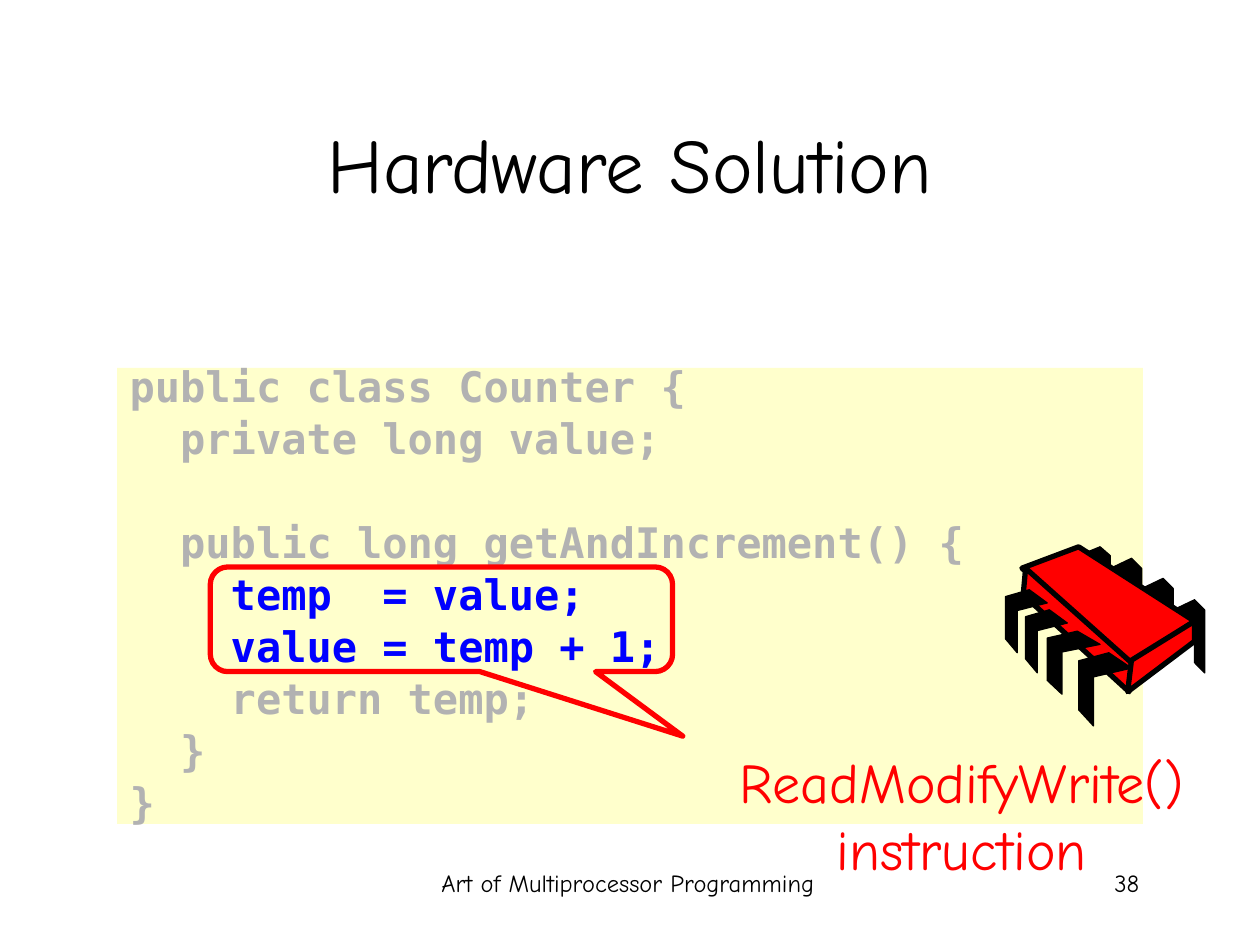
from dataclasses import dataclass

from lxml.etree import SubElement
from pptx import Presentation
from pptx.dml.color import RGBColor as RGB
from pptx.enum.shapes import MSO_SHAPE as SHAPE
from pptx.enum.text import MSO_ANCHOR as ANCHOR, PP_ALIGN as ALIGN
from pptx.oxml.ns import qn
from pptx.util import Pt


@dataclass(frozen=True)
class Theme:
    black: RGB = RGB(0, 0, 0)
    red: RGB = RGB(0xFF, 0, 0)
    blue: RGB = RGB(0, 0, 0xFF)
    gray: RGB = RGB(0xB2, 0xB2, 0xB2)
    cream: RGB = RGB(0xFF, 0xFF, 0xCC)
    text_font: str = "Comic Neue"
    code_font: str = "DejaVu Sans Mono"
    title: int = 44
    label: int = 32
    code: int = 24
    footer: int = 14


T = Theme()

CODE = """public class Counter {
  private long value;

  public long getAndIncrement() {
    temp  = value;
    value = temp + 1;
    return temp;
  }
}"""
HIGHLIGHTED = (4, 5)

# Pin outlines as fractions of the pin's box
BACK_PIN = [(0, .14), (.68, 0), (1, .14), (1, 1), (.68, .86), (.68, .28), (0, .43)]
FRONT_PIN = [(.57, 0), (1, .21), (.28, .33), (.28, 1), (0, .78), (0, .11)]

# Pin boxes, in points from the chip's corner
BACK_PINS = [(95.8, 30.2, 18, 41.8), (77.8, 18, 18, 41.8),
             (59.8, 6.5, 18, 41.8), (41.8, 0, 18, 36)]
FRONT_PINS = [(41.8, 60.5, 30.2, 41.8), (23.8, 48.2, 30.2, 36),
              (11.5, 36, 23.8, 36), (0, 24.5, 23.8, 36)]

# Top, front and side of the chip's body
BODY_FACES = [
    [(41.8, 0), (108, 42.5), (70.6, 67), (9.4, 12.2)],
    [(11.5, 12.2), (72, 66.2), (70.6, 82.8), (10.1, 27.4)],
    [(108, 42.5), (108, 54), (69.8, 82.8), (72, 64.8)],
]


def style(p, font, size, color, bold=False):
    for r in p.runs:
        r.font.name, r.font.size, r.font.bold = font, Pt(size), bold
        r.font.color.rgb = color


def add_text(s, box, text, size, color, align=ALIGN.CENTER, anchor=ANCHOR.TOP):
    tf = s.shapes.add_textbox(*map(Pt, box)).text_frame
    tf.word_wrap = True
    tf.vertical_anchor = anchor
    tf.text = text
    for p in tf.paragraphs:
        p.alignment = align
        style(p, T.text_font, size, color)


def add_code(s, box):
    sp = s.shapes.add_shape(SHAPE.RECTANGLE, *map(Pt, box))
    sp.shadow.inherit = False
    sp.fill.solid()
    sp.fill.fore_color.rgb = T.cream
    sp.line.fill.background()
    tf = sp.text_frame
    tf.word_wrap = True
    tf.vertical_anchor = ANCHOR.TOP
    tf.text = CODE
    for i, p in enumerate(tf.paragraphs):
        p.alignment = ALIGN.LEFT
        p.line_spacing = 0.7
        p.space_before = Pt(9.6 if i else 0)
        style(p, T.code_font, T.code, T.blue if i in HIGHLIGHTED else T.gray, True)
        if not p.runs:  # the blank code line keeps the code size
            SubElement(p._p, qn("a:endParaRPr"), sz=str(T.code * 100))


def add_callout(s, box):
    sp = s.shapes.add_shape(SHAPE.ROUNDED_RECTANGULAR_CALLOUT, *map(Pt, box))
    sp.shadow.inherit = False
    sp.fill.background()
    sp.line.color.rgb = T.red
    sp.line.width = Pt(3)
    for i, value in enumerate((0.522, 1.117, 0.167)):
        sp.adjustments[i] = value


def add_polygon(shapes, points, fill, width):
    start, *rest = [(Pt(x), Pt(y)) for x, y in points]
    builder = shapes.build_freeform(*start)
    builder.add_line_segments(rest, close=True)
    sp = builder.convert_to_shape()
    sp.shadow.inherit = False
    sp.fill.solid()
    sp.fill.fore_color.rgb = fill
    sp.line.color.rgb = T.black
    sp.line.width = Pt(width)


def add_chip(s, left, top):
    shapes = s.shapes.add_group_shape().shapes

    def add_pins(outline, boxes):
        for x, y, w, h in boxes:
            points = [(left + x + u * w, top + y + v * h) for u, v in outline]
            add_polygon(shapes, points, T.black, 0.75)

    add_pins(BACK_PIN, BACK_PINS)
    for face in BODY_FACES:
        add_polygon(shapes, [(left + x, top + y) for x, y in face], T.red, 3)
    add_pins(FRONT_PIN, FRONT_PINS)


def main():
    prs = Presentation()
    prs.slide_width, prs.slide_height = Pt(720), Pt(540)
    s = prs.slides.add_slide(prs.slide_layouts[6])

    # Footer and title
    add_text(s, (244.8, 492.5, 228.2, 36), "Art of Multiprocessor Programming",
             T.footer, T.black)
    add_text(s, (508.3, 492.5, 149.8, 36), "38", T.footer, T.black, ALIGN.RIGHT)
    add_text(s, (54, 48.2, 612, 90), "Hardware Solution", T.title, T.black,
             anchor=ANCHOR.MIDDLE)

    # Code with its callout
    add_code(s, (67, 210.2, 586.1, 260.6))
    add_callout(s, (120.2, 324, 264.2, 59.8))

    # Hardware instruction
    add_text(s, (386.6, 423.4, 326.2, 84.2), "ReadModifyWrite()\ninstruction",
             T.label, T.red)
    add_chip(s, 574.6, 312.5)

    prs.save("out.pptx")


if __name__ == "__main__":
    main()
